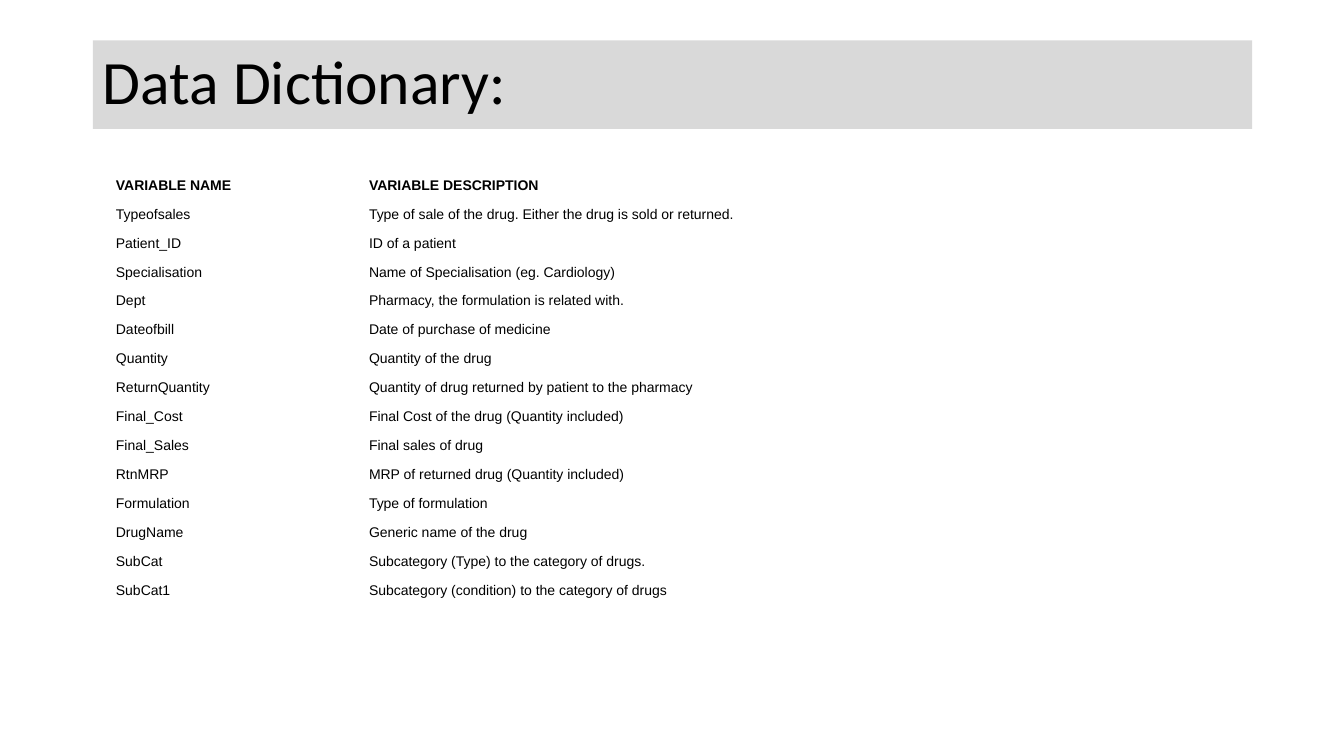
"""Build the data dictionary slide with its table of variables."""
from dataclasses import dataclass

from lxml.etree import SubElement
from pptx import Presentation
from pptx.dml.color import RGBColor
from pptx.enum.text import MSO_ANCHOR, PP_ALIGN
from pptx.oxml.ns import qn
from pptx.util import Inches, Pt


@dataclass(frozen=True)
class Theme:
    ink: RGBColor = RGBColor(0x00, 0x00, 0x00)
    band: RGBColor = RGBColor(0xD9, 0xD9, 0xD9)
    title_font: str = "Calibri"
    table_font: str = "Arial"
    title_size: int = 44
    table_size: int = 10


theme = Theme()


def style_run(run, font_name, size, bold=False):
    run.font.name = font_name
    run.font.size = Pt(size)
    run.font.bold = bold
    run.font.color.rgb = theme.ink


def clear_borders(cell):
    properties = cell._tc.get_or_add_tcPr()
    for side in ("a:lnL", "a:lnR", "a:lnT", "a:lnB"):
        border = SubElement(properties, qn(side), w="0")
        SubElement(border, qn("a:noFill"))


variables = [
    ("VARIABLE NAME", "VARIABLE DESCRIPTION", 2),
    ("Typeofsales", "Type of sale of the drug. Either the drug is sold or returned.", 4),
    ("Patient_ID", "ID of a patient", 1),
    ("Specialisation", "Name of Specialisation (eg. Cardiology)", 3),
    ("Dept", "Pharmacy, the formulation is related with.", 3),
    ("Dateofbill", "Date of purchase of medicine", 2),
    ("Quantity", "Quantity of the drug", 2),
    ("ReturnQuantity", "Quantity of drug returned by patient to the pharmacy", 4),
    ("Final_Cost", "Final Cost of the drug (Quantity included)", 3),
    ("Final_Sales", "Final sales of drug", 2),
    ("RtnMRP", "MRP of returned drug (Quantity included)", 3),
    ("Formulation", "Type of formulation", 2),
    ("DrugName", "Generic name of the drug", 2),
    ("SubCat", "Subcategory (Type) to the category of drugs.", 3),
    ("SubCat1", "Subcategory (condition) to the category of drugs", 4),
]
column_widths = [2.51, 1.78, 1.78, 2.21, 2.21]
row_count = len(variables) + 2
table_height = 4.88

presentation = Presentation()
presentation.slide_width = Inches(13.33)
presentation.slide_height = Inches(7.5)
slide = presentation.slides.add_slide(presentation.slide_layouts[5])

title = slide.shapes.title
title.left, title.top = Inches(0.92), Inches(0.4)
title.width, title.height = Inches(11.5), Inches(0.88)
title.fill.solid()
title.fill.fore_color.rgb = theme.band
title.text_frame.text = "Data Dictionary:"
title.text_frame.vertical_anchor = MSO_ANCHOR.MIDDLE
heading = title.text_frame.paragraphs[0]
heading.alignment = PP_ALIGN.LEFT
heading.line_spacing = 0.9
style_run(heading.runs[0], theme.title_font, theme.title_size)

table = slide.shapes.add_table(
    row_count, len(column_widths),
    Inches(1.14), Inches(1.63), Inches(sum(column_widths)), Inches(table_height),
).table
table.first_row = False
table.horz_banding = False
for column, width in zip(table.columns, column_widths):
    column.width = Inches(width)
for row in table.rows:
    row.height = Inches(table_height / row_count)

for row_index, (name, description, span) in enumerate(variables):
    table.cell(row_index, 0).text_frame.text = name
    table.cell(row_index, 1).text_frame.text = description
    if span > 1:
        table.cell(row_index, 1).merge(table.cell(row_index, span))

for row_index, row in enumerate(table.rows):
    for cell in row.cells:
        clear_borders(cell)
        cell.fill.background()
        cell.vertical_anchor = MSO_ANCHOR.BOTTOM
        cell.margin_left = cell.margin_right = cell.margin_top = Inches(0.01)
        cell.margin_bottom = 0
        paragraph = cell.text_frame.paragraphs[0]
        for run in paragraph.runs:
            style_run(run, theme.table_font, theme.table_size, bold=row_index == 0)
        if not paragraph.runs:
            SubElement(paragraph._p, qn("a:endParaRPr"), sz=str(theme.table_size * 100))

presentation.save("out.pptx")
